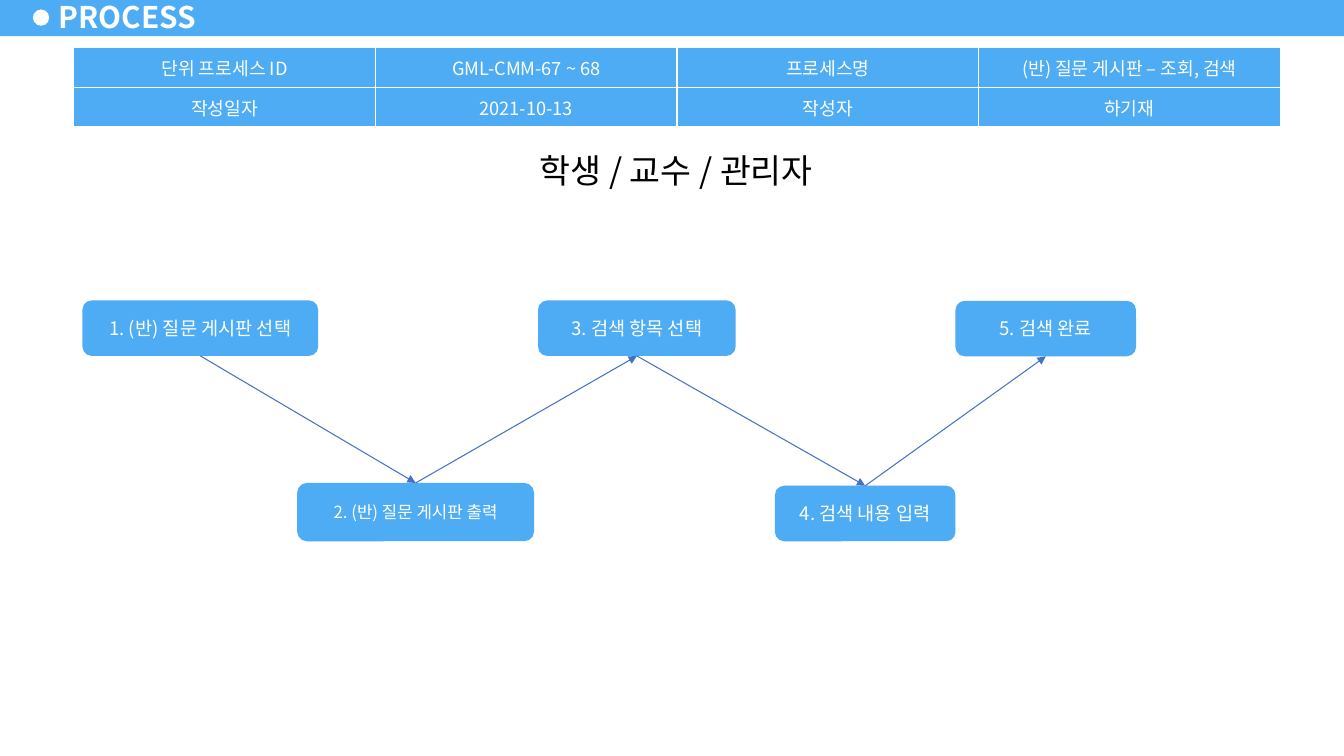
from pptx import Presentation
from pptx.dml.color import RGBColor
from pptx.enum.shapes import MSO_CONNECTOR, MSO_SHAPE
from pptx.enum.text import MSO_ANCHOR, MSO_AUTO_SIZE, PP_ALIGN
from pptx.oxml import parse_xml
from pptx.oxml.ns import nsdecls
from pptx.util import Cm, Pt

BLUE = RGBColor(0x4D, 0xAC, 0xF3)
LINE = RGBColor(0x44, 0x72, 0xC4)
WHITE = RGBColor(0xFF, 0xFF, 0xFF)
BLACK = RGBColor(0, 0, 0)
FONT = "Noto Sans CJK KR"

HEAD = "PROCESS"
ROLES = "학생 / 교수 / 관리자"
INFO = [
    ["단위 프로세스 ID", "GML-CMM-67 ~ 68", "프로세스명", "(반) 질문 게시판 – 조회, 검색"],
    ["작성일자", "2021-10-13", "작성자", "하기재"],
]
STEPS = [
    ("1. (반) 질문 게시판 선택", 13.3, (2.08, 7.57, 5.94, 1.4)),
    ("2. (반) 질문 게시판 출력", 12, (7.49, 12.17, 5.97, 1.47)),
    ("3. 검색 항목 선택", 13.3, (13.56, 7.57, 4.98, 1.4)),
    ("4. 검색 내용 입력", 13.3, (19.53, 12.24, 4.55, 1.4)),
    ("5. 검색 완료", 13.3, (24.08, 7.58, 4.55, 1.4)),
]
INSET = {"margin_left": Cm(0.33), "margin_right": Cm(0.33),
         "margin_top": Cm(0.17), "margin_bottom": Cm(0.17)}
FRAME = {**INSET, "word_wrap": True, "vertical_anchor": MSO_ANCHOR.MIDDLE}
TOP = {**FRAME, "vertical_anchor": MSO_ANCHOR.TOP}
TITLE = {"margin_left": Cm(0.28), "margin_right": Cm(0.28),
         "margin_top": Cm(0.15), "margin_bottom": Cm(0.15),
         "word_wrap": False, "auto_size": MSO_AUTO_SIZE.NONE,
         "vertical_anchor": MSO_ANCHOR.MIDDLE}


def apply(item, values):
    for key, value in values.items():
        setattr(item, key, value)


def write(frame, text, size, color, align=PP_ALIGN.CENTER, bold=False):
    para = frame.paragraphs[0]
    para.alignment = align
    run = para.add_run()
    run.text = text
    apply(run.font, {"name": FONT, "size": Pt(size), "bold": bold})
    run.font.color.rgb = color
    east = parse_xml(f'<a:ea {nsdecls("a")} typeface="{FONT}"/>')
    run._r.get_or_add_rPr().append(east)


def draw(kind, box, color):
    shape = slide.shapes.add_shape(kind, *map(Cm, box))
    shape.shadow.inherit = False
    shape.fill.solid()
    shape.fill.fore_color.rgb = color
    shape.line.fill.background()
    return shape


def link(start, end, down):
    line = slide.shapes.add_connector(MSO_CONNECTOR.STRAIGHT, 0, 0, 0, 0)
    line.begin_connect(start, 2 if down else 0)
    line.end_connect(end, 0 if down else 2)
    line.line.color.rgb = LINE
    line.line.width = Pt(0.75)
    line.line._get_or_add_ln().append(
        parse_xml(f'<a:tailEnd {nsdecls("a")} type="triangle"/>'))
    line.element.spPr.append(parse_xml(f'<a:effectLst {nsdecls("a")}/>'))


def edge(cell):
    props = cell._tc.get_or_add_tcPr()
    for spot, side in enumerate("LRTB"):
        props.insert(spot, parse_xml(
            f'<a:ln{side} {nsdecls("a")} w="{Pt(1)}"><a:solidFill>'
            f'<a:srgbClr val="{WHITE}"/></a:solidFill></a:ln{side}>'))


deck = Presentation()
apply(deck, {"slide_width": Cm(33.87), "slide_height": Cm(19.05)})
slide = deck.slides.add_slide(deck.slide_layouts[5])

draw(MSO_SHAPE.RECTANGLE, (0, -0.05, 33.87, 0.96), BLUE)
draw(MSO_SHAPE.OVAL, (0.83, 0.24, 0.41, 0.41), WHITE)

title = slide.shapes.title
apply(title, {"left": Cm(1.2), "top": Cm(-0.13), "width": Cm(4.14), "height": Cm(1.1)})
apply(title.text_frame, TITLE)
write(title.text_frame, HEAD, 21.3, WHITE, PP_ALIGN.LEFT, True)
title.element.getparent().append(title.element)

roles = draw(MSO_SHAPE.RECTANGLE, (11, 3.6, 12.09, 1.37), WHITE)
apply(roles.text_frame, TOP)
write(roles.text_frame, ROLES, 24, BLACK)

table = slide.shapes.add_table(
    len(INFO), len(INFO[0]), Cm(1.86), Cm(1.2), Cm(30.4), Cm(1.9)).table
apply(table, {"first_row": False, "horz_banding": False})
for row, texts in enumerate(INFO):
    for col, text in enumerate(texts):
        cell = table.cell(row, col)
        apply(cell, {**INSET, "vertical_anchor": MSO_ANCHOR.MIDDLE})
        cell.fill.solid()
        cell.fill.fore_color.rgb = BLUE
        edge(cell)
        write(cell.text_frame, text, 13, WHITE)

nodes = []
for text, size, box in STEPS:
    node = draw(MSO_SHAPE.ROUNDED_RECTANGLE, box, BLUE)
    apply(node.text_frame, FRAME)
    write(node.text_frame, text, size, WHITE)
    nodes.append(node)

for spot, (start, end) in enumerate(zip(nodes, nodes[1:])):
    link(start, end, spot % 2 == 0)

deck.save("out.pptx")
